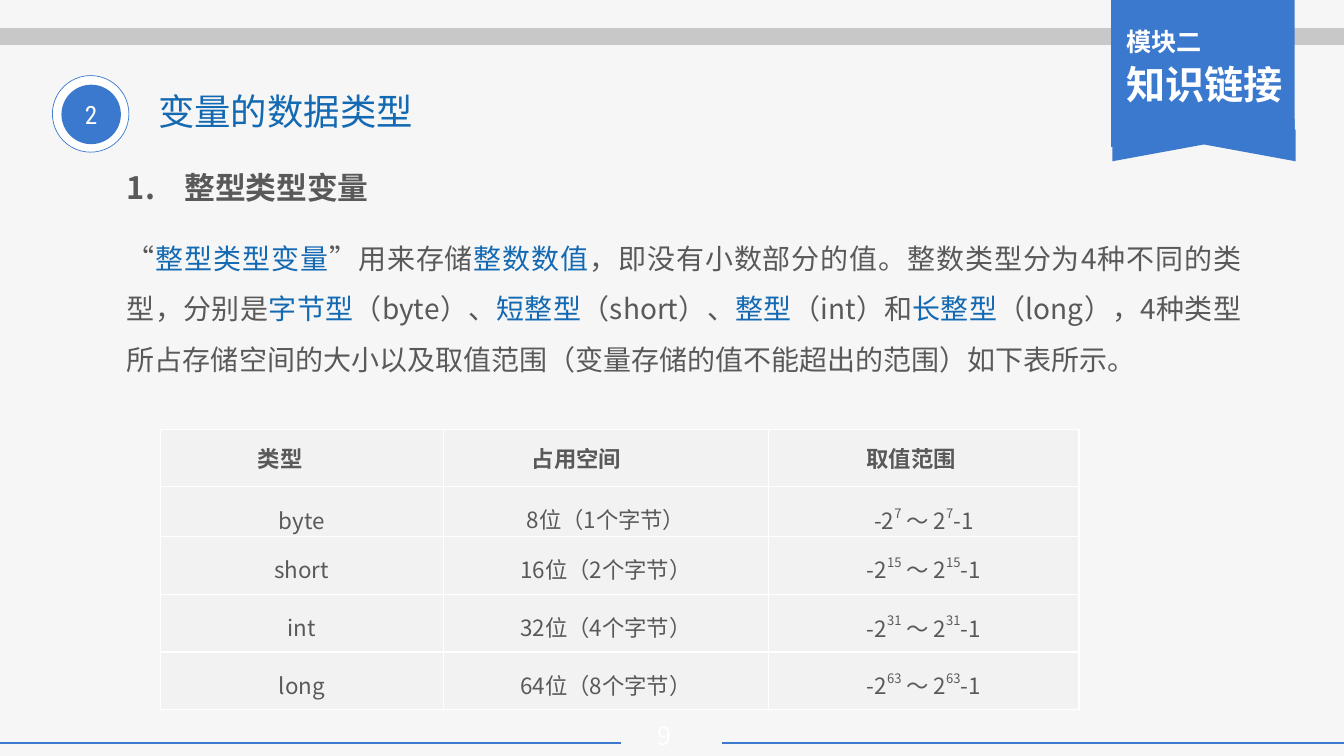
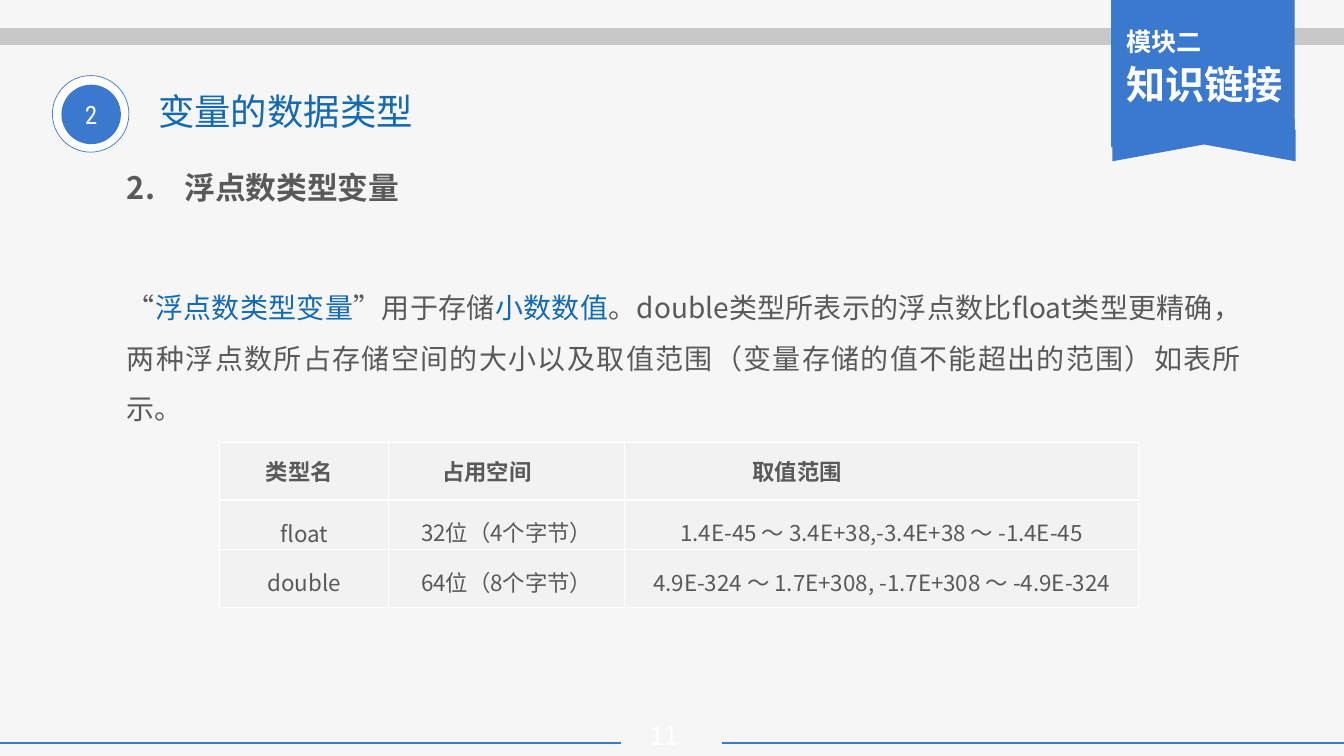
from lxml.etree import SubElement
from pptx import Presentation
from pptx.dml.color import RGBColor
from pptx.enum.shapes import MSO_CONNECTOR as Connector, MSO_SHAPE as Preset
from pptx.enum.text import MSO_ANCHOR as Anchor, MSO_AUTO_SIZE as AutoSize, PP_ALIGN as Align
from pptx.oxml.ns import qn
from pptx.util import Inches, Pt

BLUE = RGBColor(0x3B, 0x79, 0xCE)
ACCENT = RGBColor(0x13, 0x69, 0xB2)
INK = RGBColor(0x59, 0x59, 0x59)
WHITE = RGBColor(0xFF, 0xFF, 0xFF)
BAND = RGBColor(0xC8, 0xC8, 0xC8)
PAPER = RGBColor(0xF6, 0xF6, 0xF6)
CELL = RGBColor(0xF2, 0xF2, 0xF2)
SANS, NUMERALS = "Noto Sans CJK SC", "Roboto Condensed"

# Content: |marked| parts are accented in prose and raised in tables
TITLE = "变量的数据类型"
SECTION = "2"
MODULE = [("模块二", 18), ("知识链接", 28)]
PAGES = [
    {
        "number": "9",
        "heading": "1.\t整型类型变量",
        "prose_top": 2.16,
        "prose": "“|整型类型变量|”用来存储|整数数值|，即没有小数部分的值。整数类型分为4种不同的类型，"
                 "分别是|字节型|（byte）、|短整型|（short）、|整型|（int）和|长整型|（long），"
                 "4种类型所占存储空间的大小以及取值范围（变量存储的值不能超出的范围）如下表所示。",
        "table_at": (1.59, 4.26),
        "columns": [2.81, 3.23, 3.08],
        "heights": [0.57, 0.49, 0.58, 0.57, 0.57],
        "header_insets": [0.97, 0.88, 0.97],
        "rows": [("类型", "占用空间", "取值范围")] + [
            (kind, f"{size * 8}位（{size}个字节）", f"-2|{size * 8 - 1}| ～ 2|{size * 8 - 1}|-1")
            for kind, size in [("byte", 1), ("short", 2), ("int", 4), ("long", 8)]],
    },
    {
        "number": "11",
        "heading": "2.\t浮点数类型变量",
        "prose_top": 2.65,
        "prose": "“|浮点数类型变量|”用于存储|小数数值|。double类型所表示的浮点数比float类型更精确，"
                 "两种浮点数所占存储空间的大小以及取值范围（变量存储的值不能超出的范围）如表所示。",
        "table_at": (2.18, 4.39),
        "columns": [1.68, 2.34, 5.1],
        "heights": [0.57, 0.49, 0.58],
        "header_insets": [0.46, 0.53, 1.27],
        "rows": [("类型名", "占用空间", "取值范围"),
                 ("float", "32位（4个字节）", "1.4E-45 ～ 3.4E+38,-3.4E+38 ～ -1.4E-45"),
                 ("double", "64位（8个字节）", "4.9E-324 ～ 1.7E+308, -1.7E+308 ～ -4.9E-324")],
    },
]

# Shared layout
RULES = [(7.17, 13.34, 7.37, BLUE, 1.77), (0, 6.16, 7.37, BLUE, 1.77), (0, 13.34, 0.36, BAND, 12)]
RIBBON = [(Preset.CHEVRON, (11.71, 0.45, 0.48, 1.82), 0.348),
          (Preset.CHEVRON, (11.66, 0.27, 0.56, 1.82), 0.5),
          (Preset.PENTAGON, (11.26, -0.23, 1.36, 1.82), 0)]
PLACES = {0: (1.47, 0.83, 3.81, 0.47), 1: (1.13, 2.16, 11.32, 1.65), 2: (1.13, 1.42, 4.5, 0.62)}


def box(*lengths):
    return [Inches(length) for length in lengths]


def set_all(target, values):
    for name, value in values.items():
        setattr(target, name, value)


def place(shape, *lengths):
    set_all(shape, dict(zip(("left", "top", "width", "height"), box(*lengths))))


def write(paragraph, text, size, color=INK, bold=False, font=SANS, accent=None, **layout):
    """Fill a paragraph; marked parts take the accent colour or are raised."""
    set_all(paragraph, {"space_before": Pt(0), **layout})
    for index, part in enumerate(text.split("|")):
        run = paragraph.add_run()
        run.text = part
        marked = index % 2 == 1
        set_all(run.font, {"size": Pt(size), "bold": bold, "name": font})
        run.font.color.rgb = accent if marked and accent else color
        properties = run._r.get_or_add_rPr()
        SubElement(properties, qn("a:ea")).set("typeface", font)
        if marked and not accent:
            properties.set("baseline", "50000")


def prepare(frame, x=0.1, y=0.05, anchor=Anchor.TOP):
    set_all(frame, {"word_wrap": True, "auto_size": AutoSize.NONE, "vertical_anchor": anchor,
                    "margin_left": Inches(x), "margin_right": Inches(x),
                    "margin_top": Inches(y), "margin_bottom": Inches(y)})
    return frame.paragraphs[0]


def indent(paragraph, left, first):
    properties = paragraph._p.get_or_add_pPr()
    properties.set("marL", str(Inches(left)))
    properties.set("indent", str(Inches(first)))
    properties.set("hangingPunct", "0")
    SubElement(properties, qn("a:buNone"))


def paint(shape, fill, line=None):
    shape.shadow.inherit = False
    shape.fill.solid()
    shape.fill.fore_color.rgb = fill
    if line:
        shape.line.color.rgb = line
        shape.line.width = Pt(0.5)
    else:
        shape.line.fill.background()


def add_rule(shapes, left, right, y, color, width):
    rule = shapes.add_connector(Connector.STRAIGHT, *box(left, y, right, y))
    rule.line.color.rgb = color
    rule.line.width = Pt(width)
    SubElement(rule._element.spPr, qn("a:effectLst"))


def add_shared_parts(slide):
    """Draw the rules, ribbon and section badge, then move them to the layout."""
    shapes = slide.shapes
    for rule in RULES:
        add_rule(shapes, *rule)

    # Ribbon with its notch
    for preset, position, adjustment in RIBBON:
        fold = shapes.add_shape(preset, *box(*position))
        fold.adjustments[0] = adjustment
        fold.rotation = 270
        paint(fold, BLUE)
    module = shapes.add_textbox(*box(11.08, 0.21, 1.78, 0.92)).text_frame
    paragraph = prepare(module)
    for index, (text, size) in enumerate(MODULE):
        paragraph = module.add_paragraph() if index else paragraph
        write(paragraph, text, size, WHITE, True, space_after=Pt(3))

    # Section badge
    paint(shapes.add_shape(Preset.OVAL, *box(0.52, 0.75, 0.76, 0.76)), WHITE, BLUE)
    badge = shapes.add_shape(Preset.OVAL, *box(0.61, 0.84, 0.59, 0.59))
    paint(badge, BLUE)
    write(prepare(badge.text_frame, anchor=Anchor.MIDDLE), SECTION, 18, WHITE,
          font=NUMERALS, alignment=Align.CENTER)

    tree = slide.slide_layout.shapes._spTree
    for number, shape in enumerate([s for s in shapes if not s.is_placeholder], 100):
        shape._element.xpath(".//p:cNvPr")[0].set("id", str(number))
        tree.append(shape._element)


def fill_cell(cell, text, header_inset, anchor):
    set_all(cell, {"margin_left": Inches(header_inset or 0.07), "margin_right": Inches(0.07),
                   "margin_top": 0, "margin_bottom": 0, "vertical_anchor": anchor})
    properties = cell._tc.get_or_add_tcPr()
    for side in ("lnL", "lnR", "lnT", "lnB"):
        border = SubElement(properties, qn(f"a:{side}"), w=str(Pt(1)))
        SubElement(SubElement(border, qn("a:solidFill")), qn("a:srgbClr"), val=str(WHITE))
    cell.fill.solid()
    cell.fill.fore_color.rgb = CELL
    layout = {} if header_inset else {"alignment": Align.CENTER, "line_spacing": 1.5}
    write(cell.text_frame.paragraphs[0], text, 16, bold=bool(header_inset), **layout)


def add_type_table(slide, page):
    rows, columns, heights = page["rows"], page["columns"], page["heights"]
    table = slide.shapes.add_table(len(rows), len(columns), *box(
        *page["table_at"], sum(columns), sum(heights))).table
    for column, width in zip(table.columns, columns):
        column.width = Inches(width)
    for r, (texts, height) in enumerate(zip(rows, heights)):
        table.rows[r].height = Inches(height)
        for c, text in enumerate(texts):
            middle = r == 0 or (r, c) == (1, 0)
            fill_cell(table.cell(r, c), text, page["header_insets"][c] if r == 0 else None,
                      Anchor.MIDDLE if middle else Anchor.TOP)


def fill_page(slide, page):
    title, prose, heading = (slide.placeholders[index] for index in (0, 1, 2))
    write(prepare(title.text_frame), TITLE, 26, ACCENT, alignment=Align.LEFT)

    paragraph = prepare(heading.text_frame, 0.13, 0.07)
    indent(paragraph, 0.57, -0.57)
    write(paragraph, page["heading"], 22, bold=True, alignment=Align.JUSTIFY, line_spacing=1.5)

    place(prose, 1.13, page["prose_top"], 11.32, 1.65)
    paragraph = prepare(prose.text_frame, 0.13, 0.07)
    indent(paragraph, 0, 0)
    write(paragraph, page["prose"], 20, accent=ACCENT, alignment=Align.JUSTIFY, line_spacing=1.5)

    add_type_table(slide, page)
    number = slide.shapes.add_textbox(*box(6.18, 7.1, 0.84, 0.4))
    write(prepare(number.text_frame, anchor=Anchor.MIDDLE), page["number"], 18, WHITE,
          alignment=Align.CENTER)


def main():
    deck = Presentation()
    deck.slide_width, deck.slide_height = box(13.34, 7.5)
    layout = deck.slide_layouts.get_by_name("Content with Caption")
    layout.background.fill.solid()
    layout.background.fill.fore_color.rgb = PAPER
    for holder in layout.placeholders:
        index = holder.placeholder_format.idx
        if index in PLACES:
            place(holder, *PLACES[index])

    slides = [deck.slides.add_slide(layout) for _ in PAGES]
    add_shared_parts(slides[0])
    for slide, page in zip(slides, PAGES):
        fill_page(slide, page)
    deck.save("out.pptx")


if __name__ == "__main__":
    main()
